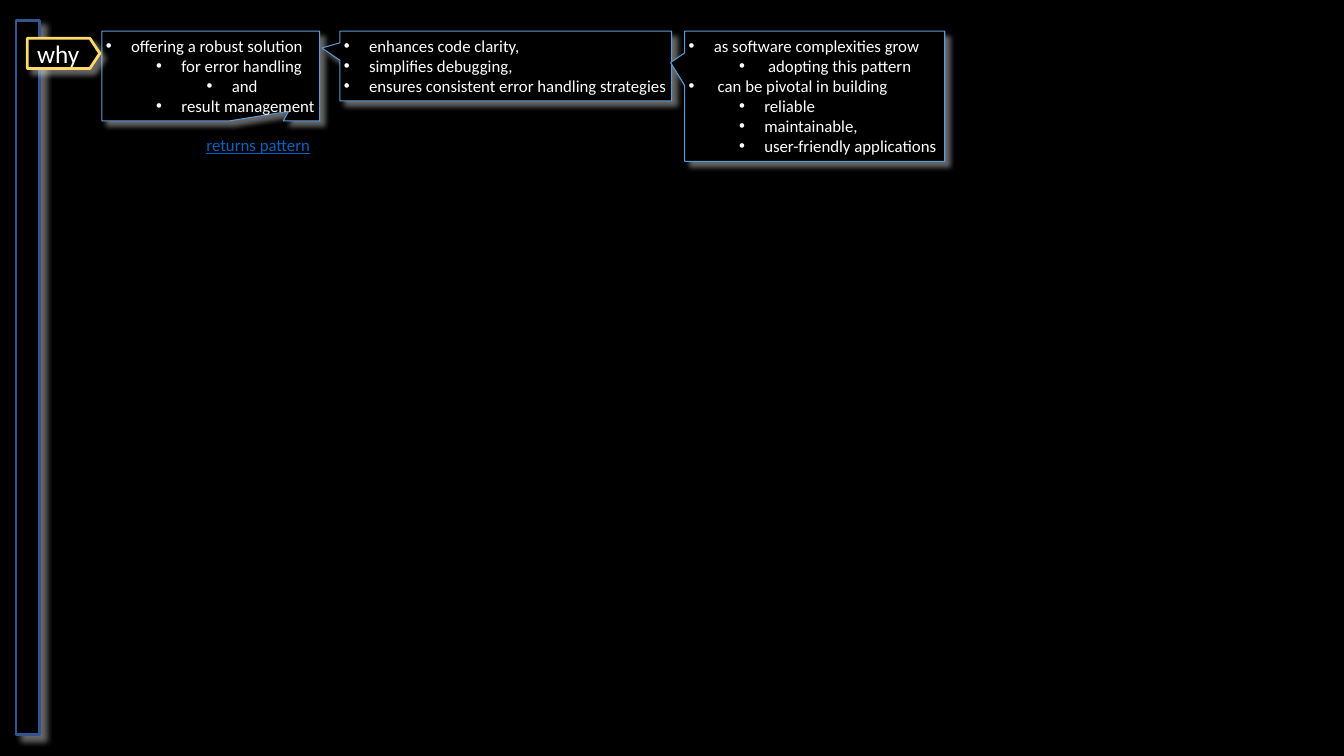
from lxml import etree
from pptx import Presentation, util as u
from pptx.dml.color import RGBColor
from pptx.enum import shapes, text
from pptx.oxml.ns import qn

COLORS = {"black": "000000", "white": "FFFFFF", "sky": "5B9BD5",
          "navy": "325491", "gold": "FFD966", "link": "0563C1"}
KIND = shapes.MSO_SHAPE


def add_box(kind, box, line, width):
    """Add a black shape with a coloured outline and a soft white shadow."""
    shape = slide.shapes.add_shape(kind, *[u.Inches(n) for n in box])
    shape.fill.solid()
    shape.fill.fore_color.rgb = RGBColor.from_string(COLORS["black"])
    shape.line.color.rgb = RGBColor.from_string(COLORS[line])
    shape.line.width = u.Pt(width)
    shape.shadow.inherit = False
    effects = shape._element.spPr.find(qn("a:effectLst"))
    shadow = etree.SubElement(effects, qn("a:outerShdw"), blurRad=str(u.Pt(4)),
                              dist=str(u.Pt(5)), dir="2700000",
                              algn="tl", rotWithShape="0")
    color = etree.SubElement(shadow, qn("a:srgbClr"), val=COLORS["white"])
    etree.SubElement(color, qn("a:alpha"), val="40000")
    return shape


def write(shape, lines, size, color, insets, bullets=False):
    """Fill a shape with (level, words) lines, left aligned and unwrapped."""
    frame = shape.text_frame
    frame.word_wrap = False
    frame.auto_size = text.MSO_AUTO_SIZE.SHAPE_TO_FIT_TEXT
    (frame.margin_left, frame.margin_top,
     frame.margin_right, frame.margin_bottom) = [u.Inches(n) for n in insets]
    for i, (level, words) in enumerate(lines):
        para = frame.add_paragraph() if i else frame.paragraphs[0]
        para.text = words
        para.level = level
        para.alignment = text.PP_ALIGN.LEFT
        if bullets:
            props = para._p.get_or_add_pPr()
            props.set("marL", str(u.Inches(0.25 + 0.5 * level)))
            props.set("indent", str(u.Inches(-0.25)))
            etree.SubElement(props, qn("a:buFont"), typeface="Arial")
            etree.SubElement(props, qn("a:buChar"), char="•")
        font = para.runs[0].font
        font.size = u.Pt(size)
        font.name = "Calibri"
        font.color.rgb = RGBColor.from_string(COLORS[color])


deck = Presentation()
deck.slide_width = u.Inches(13.33)
deck.slide_height = u.Inches(7.5)
slide = deck.slides.add_slide(deck.slide_layouts[6])
slide.background.fill.solid()
slide.background.fill.fore_color.rgb = RGBColor.from_string(COLORS["black"])

# Callouts: left, width, height, tip, lines
callouts = [
    (1.01, 2.16, 0.89, (0.358, 0.393),
     [(0, "offering a robust solution"), (1, "for error handling"),
      (2, "and"), (1, "result management")]),
    (3.37, 3.29, 0.69, (-0.554, -0.259),
     [(0, "enhances code clarity,"), (0, "simplifies debugging,"),
      (0, "ensures consistent error handling strategies")]),
    (6.79, 2.58, 1.29, (-0.554, -0.259),
     [(0, "as software complexities grow"), (1, " adopting this pattern"),
      (0, " can be pivotal in building"), (1, "reliable"),
      (1, "maintainable,"), (1, "user-friendly applications")]),
]
for left, width, height, tip, lines in callouts:
    callout = add_box(KIND.RECTANGULAR_CALLOUT,
                      (left, 0.31, width, height), "sky", 0.75)
    callout.adjustments[0], callout.adjustments[1] = tip
    callout.text_frame.vertical_anchor = text.MSO_ANCHOR.TOP
    write(callout, lines, 12, "white", [0.04] * 4, bullets=True)

# Side bar and its "why" tag
add_box(KIND.RECTANGLE, (0.16, 0.2, 0.23, 7.09), "navy", 2)
tag = add_box(KIND.PENTAGON, (0.27, 0.38, 0.72, 0.3), "gold", 2)
tag.adjustments[0] = 0.33
tag.text_frame.vertical_anchor = text.MSO_ANCHOR.MIDDLE
write(tag, [(0, "why")], 18, "white", (0.1, 0, 0.15, 0))

# Pattern label
label = slide.shapes.add_textbox(u.Inches(1.95), u.Inches(1.29),
                                 u.Inches(1.24), u.Inches(0.3))
write(label, [(0, "returns pattern")], 12, "link", (0.1, 0.05, 0.1, 0.05))
label.text_frame.paragraphs[0].runs[0].font.underline = True

deck.save("out.pptx")
